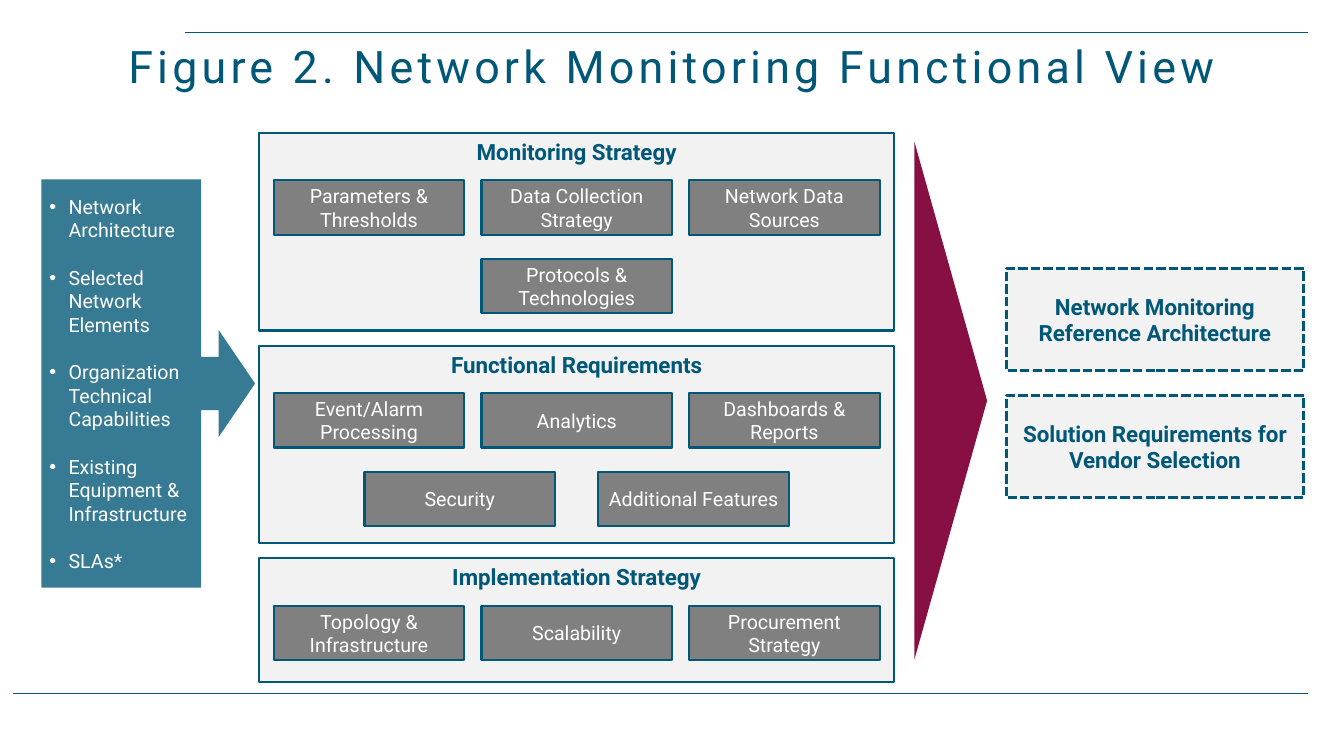
from pptx import Presentation
from pptx.dml.color import RGBColor
from pptx.enum.dml import MSO_LINE
from pptx.enum.shapes import MSO_CONNECTOR, MSO_SHAPE
from pptx.enum.text import MSO_ANCHOR, MSO_AUTO_SIZE, PP_ALIGN
from pptx.oxml.ns import qn
from pptx.util import Inches, Pt
from lxml.etree import SubElement

COLORS = {"teal": "005778", "wine": "870F42", "panel": "F2F2F2",
          "chip": "808080", "white": "FFFFFF"}
FONT = "Roboto"
WIDTH, HEIGHT = 13.33, 7.5
GAP = 0.15
CHIP_WIDTH, CHIP_HEIGHT = 1.89, 0.54
CHIP_PITCH, WIDE_PITCH, ROW_PITCH = 2.06, 2.32, 0.78

INPUTS = ["Network Architecture", "Selected Network Elements",
          "Organization Technical Capabilities",
          "Existing Equipment & Infrastructure", "SLAs*"]
# Panel title, height and rows of (spacing, chip names)
PANELS = [
    ("Monitoring Strategy", 1.96, [
        (CHIP_PITCH, ["Parameters & Thresholds", "Data Collection Strategy",
                      "Network Data Sources"]),
        (CHIP_PITCH, ["Protocols & Technologies"])]),
    ("Functional Requirements", 1.96, [
        (CHIP_PITCH, ["Event/Alarm Processing", "Analytics", "Dashboards & Reports"]),
        (WIDE_PITCH, ["Security", "Additional Features"])]),
    ("Implementation Strategy", 1.23, [
        (CHIP_PITCH, ["Topology & Infrastructure", "Scalability",
                      "Procurement Strategy"])]),
]
OUTPUTS = ["Network Monitoring Reference Architecture",
           "Solution Requirements for Vendor Selection"]


def color(name):
    return RGBColor.from_string(COLORS[name])


def add_box(slide, kind, box, fill, line_width=None):
    shape = slide.shapes.add_shape(kind, *map(Inches, box))
    shape.shadow.inherit = False
    shape.fill.solid()
    shape.fill.fore_color.rgb = color(fill)
    if line_width:
        shape.line.color.rgb = color("teal")
        shape.line.width = Pt(line_width)
    else:
        shape.line.fill.background()
    return shape


def format_text(text_frame, size, ink, bold=False, align=PP_ALIGN.CENTER,
                anchor=MSO_ANCHOR.MIDDLE):
    text_frame.word_wrap = True
    text_frame.auto_size = MSO_AUTO_SIZE.NONE
    text_frame.vertical_anchor = anchor
    for paragraph in text_frame.paragraphs:
        paragraph.alignment = align
        for run in paragraph.runs:
            run.font.name = FONT
            run.font.size = Pt(size)
            run.font.bold = bold
            run.font.color.rgb = color(ink)


def set_narrow_margins(text_frame):
    text_frame.margin_left = text_frame.margin_right = Inches(0.08)
    text_frame.margin_top = text_frame.margin_bottom = Inches(0.05)


def add_rule(slide, left, right, top):
    rule = slide.shapes.add_connector(
        MSO_CONNECTOR.STRAIGHT, *map(Inches, (left, top, right, top)))
    rule.line.color.rgb = color("teal")
    rule.line.width = Pt(1)
    SubElement(rule._element.spPr, qn("a:effectLst"))


def add_title(slide, box):
    title = slide.shapes.title
    title.left, title.top, title.width, title.height = map(Inches, box)
    title.text_frame.text = "Figure 2. Network Monitoring Functional View"
    format_text(title.text_frame, 32, "teal", anchor=MSO_ANCHOR.BOTTOM)
    paragraph = title.text_frame.paragraphs[0]
    paragraph.line_spacing = 0.8
    # Letter spacing in hundredths of a point
    paragraph.runs[0].font._element.set("spc", "300")


def add_inputs(slide, box):
    callout = add_box(slide, MSO_SHAPE.RIGHT_ARROW_CALLOUT, box, "teal")
    for index, value in enumerate((0.25, 0.25, 0.17, 0.748)):
        callout.adjustments[index] = value
    fill_color = callout._element.spPr.find(qn("a:solidFill"))[0]
    SubElement(fill_color, qn("a:alpha"), val="79000")

    text_frame = callout.text_frame
    text_frame.text = "\n".join(INPUTS)
    set_narrow_margins(text_frame)
    format_text(text_frame, 14, "white", align=PP_ALIGN.LEFT)
    indent = Inches(0.19)
    for index, paragraph in enumerate(text_frame.paragraphs):
        paragraph.space_before = Pt(17 if index else 0)
        properties = paragraph._p.get_or_add_pPr()
        properties.set("marL", str(indent))
        properties.set("indent", str(-indent))
        SubElement(properties, qn("a:buFont"), typeface="Arial")
        SubElement(properties, qn("a:buChar"), char="•")


def add_panel(slide, box, title, rows):
    left, top, width, _ = box
    panel = add_box(slide, MSO_SHAPE.RECTANGLE, box, "panel", 1.5)
    panel.text_frame.text = title
    format_text(panel.text_frame, 16, "teal", bold=True, anchor=MSO_ANCHOR.TOP)
    for row, (pitch, names) in enumerate(rows):
        # Each row is centred in the panel
        row_width = (len(names) - 1) * pitch + CHIP_WIDTH
        row_left = left + (width - row_width) / 2
        row_top = top + 0.47 + row * ROW_PITCH
        for column, name in enumerate(names):
            chip = add_box(slide, MSO_SHAPE.RECTANGLE,
                           (row_left + column * pitch, row_top,
                            CHIP_WIDTH, CHIP_HEIGHT), "chip", 1.5)
            chip.text_frame.text = name
            set_narrow_margins(chip.text_frame)
            format_text(chip.text_frame, 14, "white")


def add_panels(slide, left, top, width):
    for title, height, rows in PANELS:
        add_panel(slide, (left, top, width, height), title, rows)
        top += height + GAP


def add_pointer(slide, box):
    left, top, width, height = box
    # The triangle is turned a quarter, so its sides swap around the centre
    shift = (width - height) / 2
    pointer = add_box(slide, MSO_SHAPE.ISOSCELES_TRIANGLE,
                      (left + shift, top - shift, height, width), "wine")
    pointer.rotation = 90


def add_outputs(slide, box):
    left, top, width, height = box
    gap = 0.24
    box_height = (height - gap) / len(OUTPUTS)
    for index, name in enumerate(OUTPUTS):
        output = add_box(slide, MSO_SHAPE.RECTANGLE,
                         (left, top + index * (box_height + gap), width, box_height),
                         "panel", 2.25)
        output.line.dash_style = MSO_LINE.SQUARE_DOT
        output.text_frame.text = name
        format_text(output.text_frame, 16, "teal", bold=True)


def main():
    presentation = Presentation()
    presentation.slide_width, presentation.slide_height = Inches(WIDTH), Inches(HEIGHT)
    slide = presentation.slides.add_slide(presentation.slide_layouts[5])
    add_rule(slide, 1.84, 12.97, 0.32)
    add_rule(slide, 0.13, 12.97, 6.88)
    add_title(slide, (0, 0.36, WIDTH, 0.6))
    add_inputs(slide, (0.41, 1.78, 2.12, 4.05))
    add_panels(slide, 2.57, 1.32, 6.3)
    add_pointer(slide, (9.07, 1.41, 0.72, 5.13))
    add_outputs(slide, (9.98, 2.66, 2.95, 2.28))
    presentation.save("out.pptx")


if __name__ == "__main__":
    main()
